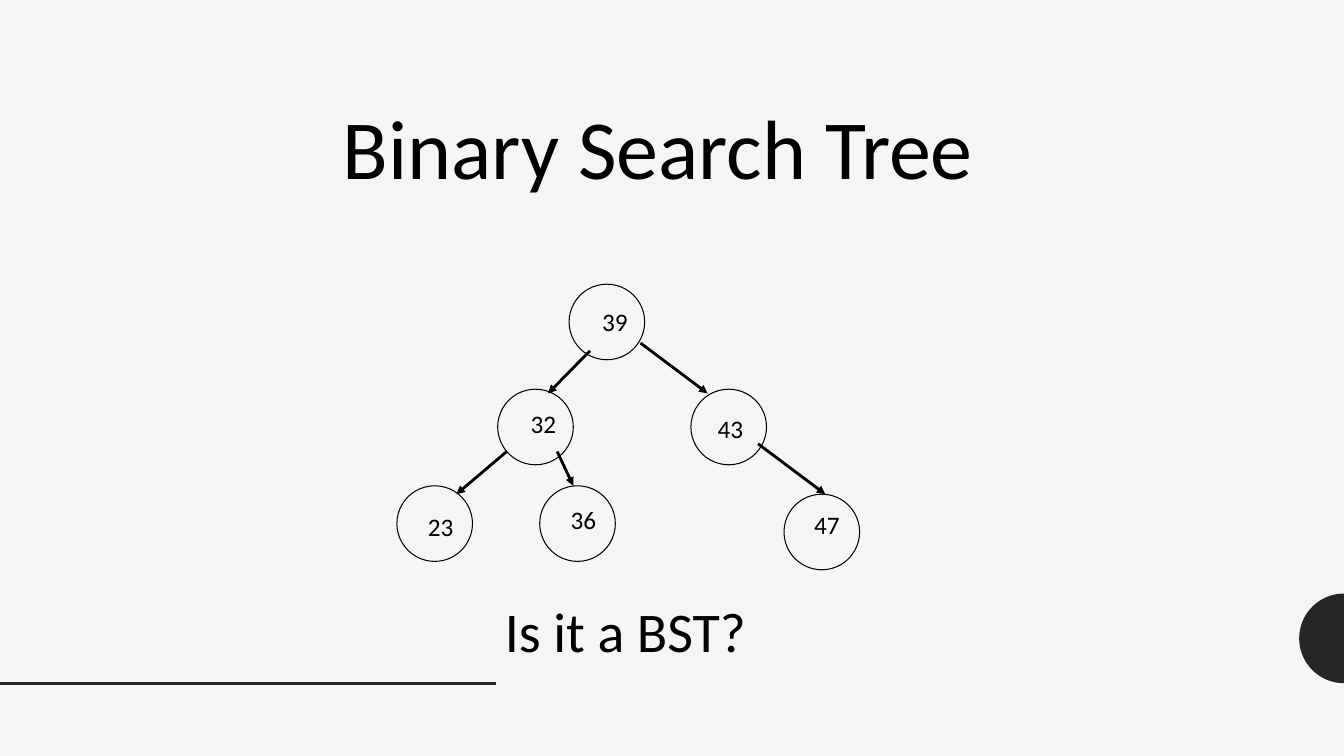
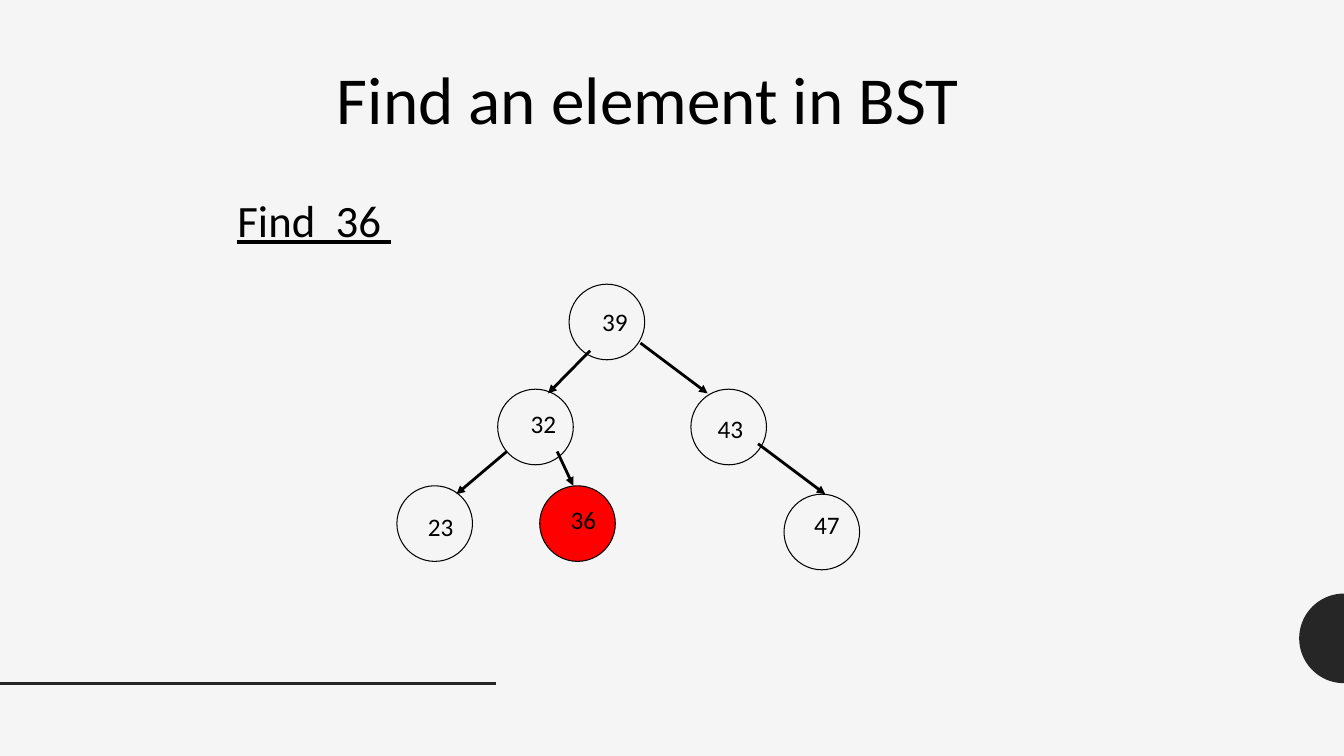
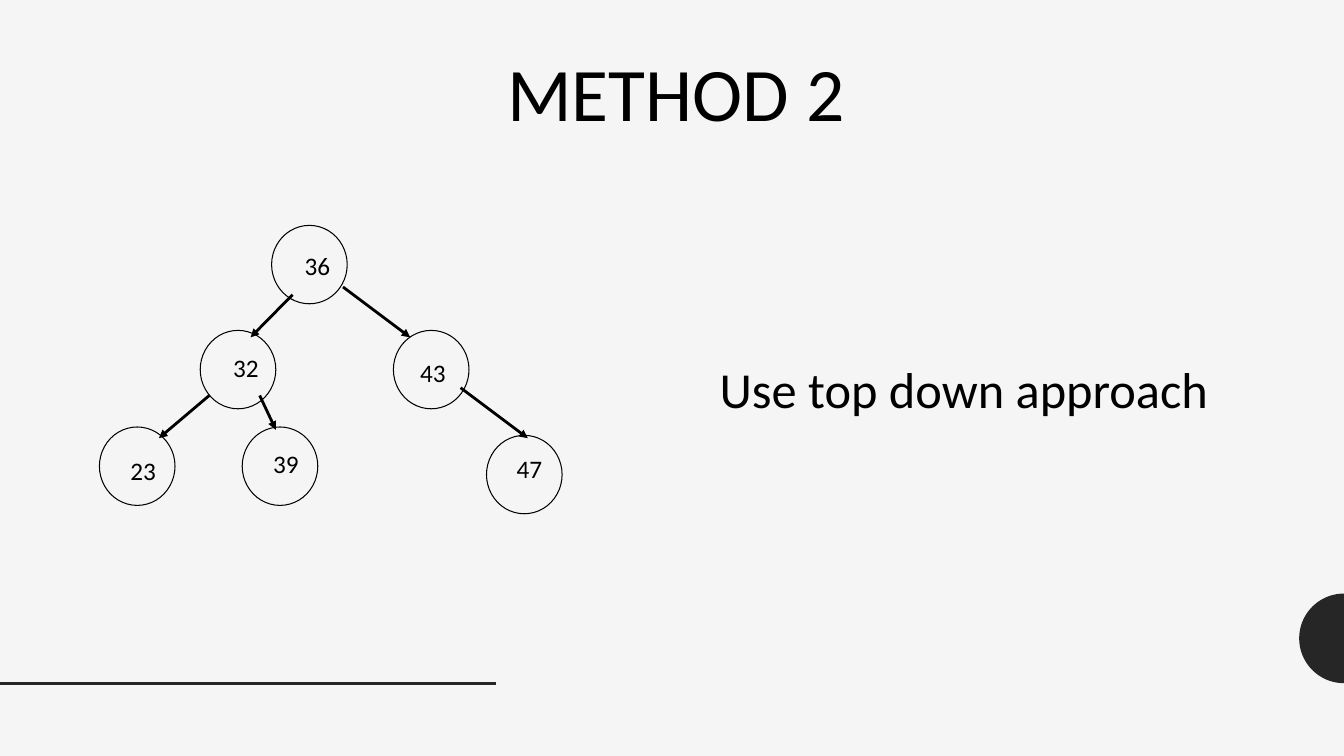
from math import cos, pi, sin

from lxml import etree
from pptx import Presentation
from pptx.dml.color import RGBColor
from pptx.enum.shapes import MSO_CONNECTOR, MSO_SHAPE
from pptx.enum.text import MSO_AUTO_SIZE, PP_ALIGN
from pptx.oxml.ns import qn
from pptx.util import Pt

STRAIGHT, ELLIPSE = MSO_CONNECTOR.STRAIGHT, MSO_SHAPE.OVAL
LEFT, CENTER = PP_ALIGN.LEFT, PP_ALIGN.CENTER
GROW = MSO_AUTO_SIZE.SHAPE_TO_FIT_TEXT

BLACK = RGBColor(0x00, 0x00, 0x00)
CHARCOAL = RGBColor(0x26, 0x26, 0x26)
PAPER = RGBColor(0xF5, 0xF5, 0xF5)
RED = RGBColor(0xFF, 0x00, 0x00)
FONT = "Calibri"

SLIDE_W, SLIDE_H = 960, 540
NODE = 54
LABEL_W, LABEL_H, LABEL_SIZE = 36, 29, 18

# Tree position: (node offset from tree corner, label offset from node)
POSITIONS = {
    "root": ((123, 0), (16.5, 12.5)),
    "left": ((72, 75), (16.5, 10)),
    "right": ((210, 75), (12, 13.5)),
    "left.left": ((0, 144), (15, 15)),
    "left.right": ((102, 144), (15, 10)),
    "right.right": ((276.5, 150), (14.5, 7)),
}
# Parent, child, start offset from parent, end offset from child
BRANCHES = [
    ("root", "left", (15, 47.5), (36, 3)),
    ("root", "right", (51, 42), (12, 3)),
    ("left", "left.left", (6.5, 44.5), (42.5, 6)),
    ("left", "left.right", (42.5, 44.5), (24, 0)),
    ("right", "right.right", (48, 39), (29.5, 0)),
]
SEARCH_TREE = dict(zip(POSITIONS, (39, 32, 43, 23, 36, 47)))
SWAPPED_TREE = dict(zip(POSITIONS, (36, 32, 43, 23, 39, 47)))

# Texts: wording, box (left, top, width, height), size, alignment, underline
SLIDES = [
    {
        "texts": [
            ("Binary Search Tree", (237.5, 65, 517, 80), 60, LEFT, False),
            ("Is it a BST?", (353.5, 422.5, 340.5, 55.5), 40, LEFT, False),
        ],
        "tree": (SEARCH_TREE, (283.5, 203), NODE, None),
    },
    {
        "texts": [
            ("Find an element in BST", (233.5, 37.5, 541.5, 65.5), 48, LEFT, False),
            ("Find  36 ", (162.5, 134, 242, 46), 32, LEFT, True),
        ],
        "tree": (SEARCH_TREE, (283.5, 203), NODE, 36),
    },
    {
        "texts": [
            ("METHOD 2", (35.5, 29, 895, 72.5), 54, CENTER, False),
            ("Use top down approach", (507, 252.5, 440, 51), 36, LEFT, False),
        ],
        "tree": (SWAPPED_TREE, (71, 161), 56, None),
    },
]


def add_text(slide, text, box, size, align=LEFT, underline=False):
    """Add one line of text in a box that grows with it."""
    frame = slide.shapes.add_textbox(*map(Pt, box)).text_frame
    frame.word_wrap = True
    frame.auto_size = GROW
    line = frame.paragraphs[0]
    line.text = text
    line.alignment = align
    line.font.name, line.font.size = FONT, Pt(size)
    line.font.color.rgb = BLACK
    if underline:
        line.font.underline = True


def add_line(slide, start, end, color, arrow=False):
    """Draw a 2 pt line, with an arrowhead at its end if asked."""
    line = slide.shapes.add_connector(STRAIGHT, *map(Pt, (*start, *end)))
    line.line.width = Pt(2)
    line.line.color.rgb = color
    properties = line.element.spPr
    if arrow:
        etree.SubElement(properties.find(qn("a:ln")), qn("a:tailEnd"), type="triangle")
    etree.SubElement(properties, qn("a:effectLst"))
    return line


def add_half_disc(slide, center_y, radius, steps=48):
    """Draw a half disc resting on the right edge of the slide."""
    arc = [
        (Pt(SLIDE_W - radius * sin(pi * step / steps)),
         Pt(center_y - radius * cos(pi * step / steps)))
        for step in range(steps + 1)
    ]
    outline = slide.shapes.build_freeform(*arc[0])
    outline.add_line_segments(arc[1:], close=True)
    disc = outline.convert_to_shape()
    disc.shadow.inherit = False
    disc.fill.solid()
    disc.fill.fore_color.rgb = CHARCOAL
    disc.line.fill.background()
    return disc


def decorate_master(master, slide):
    """Give the master its background, half disc and rule, drawn via a slide."""
    master.background.fill.solid()
    master.background.fill.fore_color.rgb = PAPER
    decorations = [
        add_half_disc(slide, 456, 32),
        add_line(slide, (0, 488), (354, 488), CHARCOAL),
    ]
    tree = master.element.cSld.spTree
    for number, decoration in enumerate(decorations, 101):
        decoration.element.xpath("./*/p:cNvPr")[0].set("id", str(number))
        tree.append(decoration.element)


def shift(point, offset, drop=0):
    """Move a point by an offset and a further drop."""
    return point[0] + offset[0], point[1] + offset[1] + drop


def add_tree(slide, values, corner, node_height, found):
    """Draw branches, nodes and labels; fill the found value red."""
    drop = node_height - NODE
    nodes = {key: shift(corner, place) for key, (place, _) in POSITIONS.items()}
    for parent, child, start, end in BRANCHES:
        add_line(slide, shift(nodes[parent], start, drop),
                 shift(nodes[child], end, drop), BLACK, arrow=True)
    for key, value in values.items():
        node = slide.shapes.add_shape(
            ELLIPSE, *map(Pt, (*nodes[key], NODE, node_height)))
        node.shadow.inherit = False
        node.line.color.rgb = BLACK
        node.line.width = Pt(0.75)
        if value == found:
            node.fill.solid()
            node.fill.fore_color.rgb = RED
        else:
            node.fill.background()
        label = shift(nodes[key], POSITIONS[key][1], drop)
        add_text(slide, str(value), (*label, LABEL_W, LABEL_H), LABEL_SIZE)


def main():
    """Build and save the presentation."""
    deck = Presentation()
    deck.slide_width, deck.slide_height = Pt(SLIDE_W), Pt(SLIDE_H)
    blank = deck.slide_layouts[6]
    for content in SLIDES:
        slide = deck.slides.add_slide(blank)
        if len(deck.slides) == 1:
            decorate_master(deck.slide_master, slide)
        for text in content["texts"]:
            add_text(slide, *text)
        add_tree(slide, *content["tree"])
    deck.save("out.pptx")


main()
